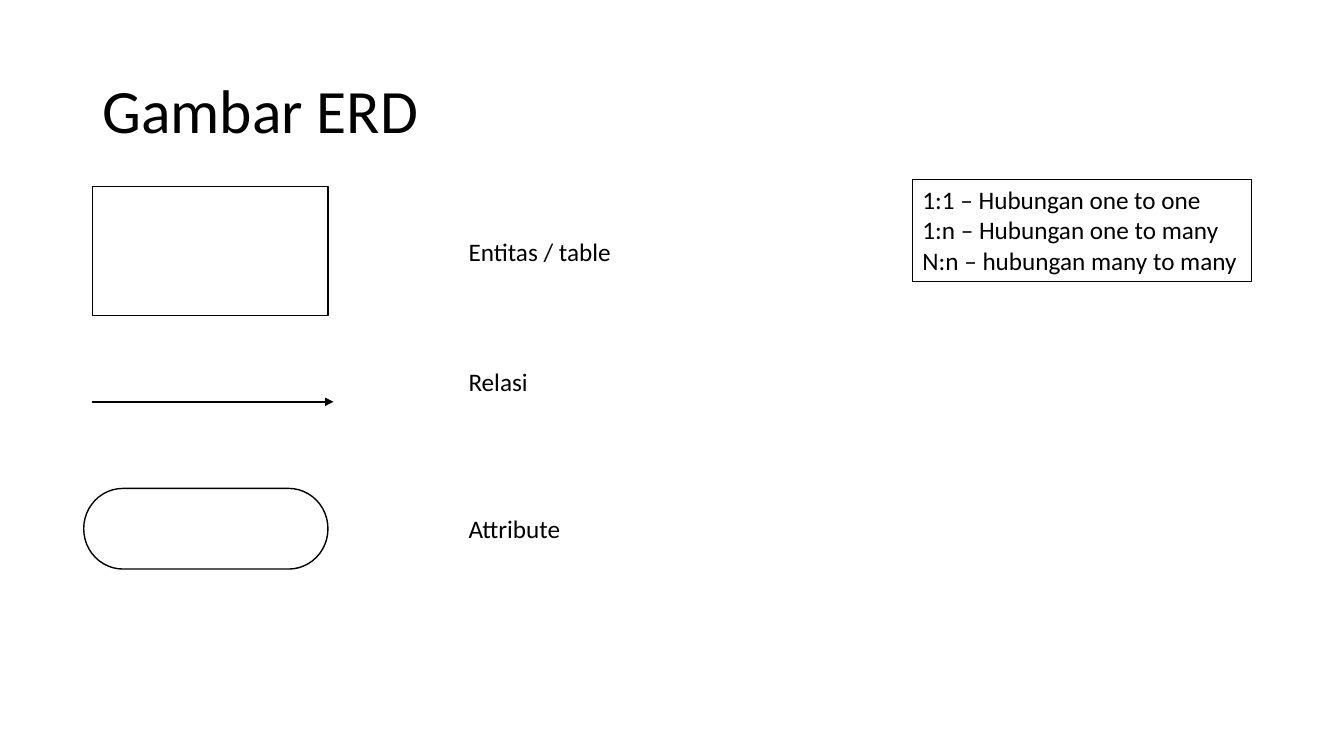
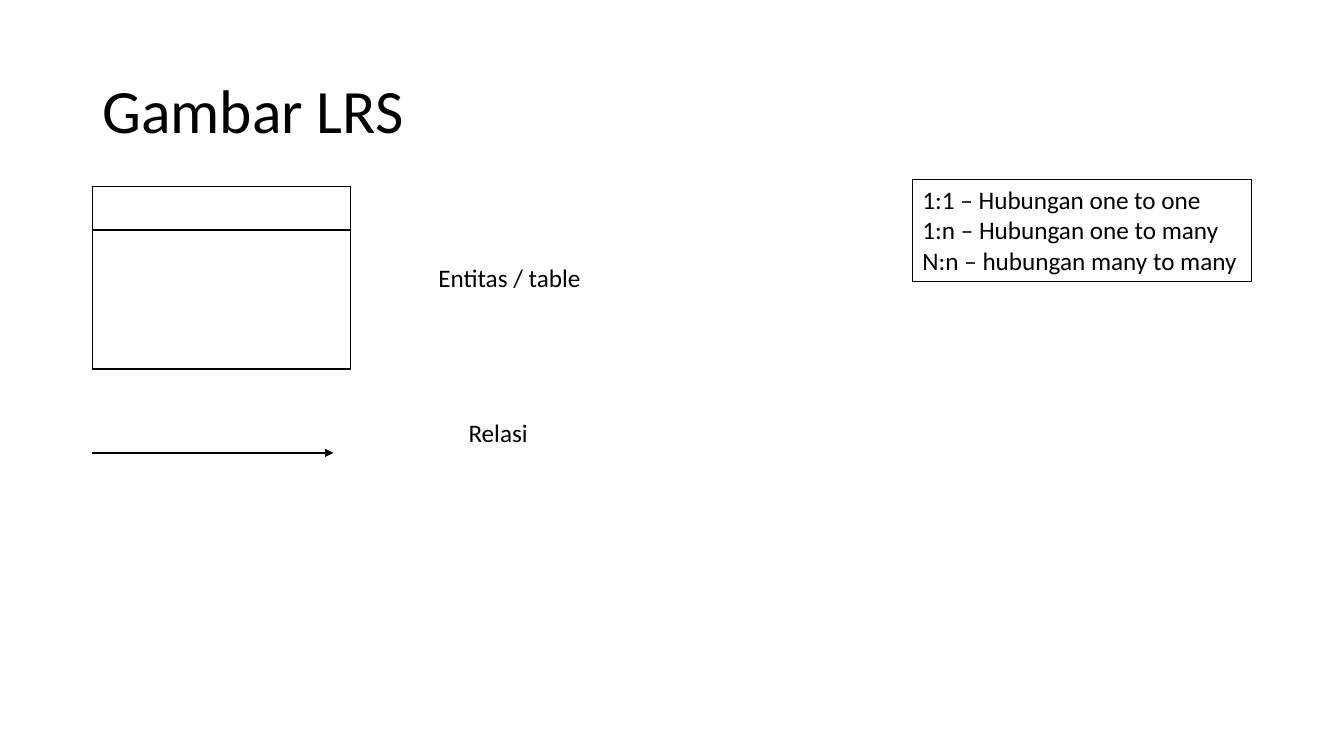
"""Build two slides explaining the symbols of ERD and LRS diagrams."""
from lxml import etree
from pptx import Presentation
from pptx.dml.color import RGBColor
from pptx.enum.shapes import MSO_CONNECTOR, MSO_SHAPE
from pptx.enum.text import MSO_ANCHOR, PP_ALIGN
from pptx.oxml.ns import qn
from pptx.util import Pt

RECTANGLE = MSO_SHAPE.RECTANGLE
TERMINATOR = MSO_SHAPE.FLOWCHART_TERMINATOR
STRAIGHT = MSO_CONNECTOR.STRAIGHT
TOP, MIDDLE = MSO_ANCHOR.TOP, MSO_ANCHOR.MIDDLE
LEFT = PP_ALIGN.LEFT

FONT = "Calibri"
BLACK, WHITE = "000000", "FFFFFF"
MARGIN = 66
LABEL_LEFT = 327.6
LABEL_HEIGHT = 29
ARROW_LENGTH = 172.2
TITLE_BOX = (MARGIN, 28.8, 828, 104.4)
CARDINALITY_BOX = (651.8, 128.2, 242, 72.7)
CARDINALITIES = [
    "1:1 – Hubungan one to one",
    "1:n – Hubungan one to many",
    "N:n – hubungan many to many",
]

SLIDES = [
    {
        "title": "Gambar ERD",
        "symbols": [
            (RECTANGLE, (MARGIN, 133.2, 168.5, 92.2)),
            (TERMINATOR, (59.8, 348.9, 174.5, 57.6)),
        ],
        "arrow_y": 287,
        "labels": [
            ("Entitas / table", LABEL_LEFT, 165, 117.4),
            ("Relasi", LABEL_LEFT, 258.1, 57.6),
            ("Attribute", LABEL_LEFT, 363.2, 81.4),
        ],
    },
    {
        "title": "Gambar LRS",
        "record": ((MARGIN, 133.2, 184.3, 130.3), 31),
        "arrow_y": 323.5,
        "labels": [
            ("Entitas / table", 306, 183.9, 117.4),
            ("Relasi", LABEL_LEFT, 294.6, 57.6),
        ],
    },
]


def color(value):
    return RGBColor.from_string(value)


def write(shape, lines, size=18, anchor=TOP, wrap=False, spacing=None):
    frame = shape.text_frame
    frame.word_wrap = wrap
    frame.vertical_anchor = anchor
    frame.text = "\n".join(lines)
    for paragraph in frame.paragraphs:
        paragraph.alignment = LEFT
        paragraph.line_spacing = spacing
        paragraph.font.name = FONT
        paragraph.font.size = Pt(size)
        paragraph.font.color.rgb = color(BLACK)


def add_text(shapes, box, lines, **style):
    write(shapes.add_textbox(*map(Pt, box)), lines, **style)


def add_outline(shapes, preset, box):
    outline = shapes.add_shape(preset, *map(Pt, box))
    outline.shadow.inherit = False
    outline.fill.solid()
    outline.fill.fore_color.rgb = color(WHITE)
    outline.line.color.rgb = color(BLACK)
    outline.line.width = Pt(1)
    return outline


def add_rule(shapes, left, y, length, arrow=False):
    rule = shapes.add_connector(STRAIGHT, Pt(left), Pt(y), Pt(left + length), Pt(y))
    rule.line.color.rgb = color(BLACK)
    rule.line.width = Pt(1.5)
    if arrow:
        etree.SubElement(rule.line._get_or_add_ln(), qn("a:tailEnd"), type="triangle")
    etree.SubElement(rule._element.spPr, qn("a:effectLst"))


def add_record(shapes, box, header_height):
    record = shapes.add_group_shape().shapes
    left, top, width, _ = box
    add_outline(record, RECTANGLE, box)
    add_rule(record, left, top + header_height, width)


def build_slide(deck, content):
    shapes = deck.slides.add_slide(deck.slide_layouts[6]).shapes
    add_text(shapes, TITLE_BOX, [content["title"]],
             size=44, anchor=MIDDLE, wrap=True, spacing=0.9)
    for preset, box in content.get("symbols", []):
        add_outline(shapes, preset, box)
    if "record" in content:
        add_record(shapes, *content["record"])
    add_rule(shapes, MARGIN, content["arrow_y"], ARROW_LENGTH, arrow=True)
    for label, left, top, width in content["labels"]:
        add_text(shapes, (left, top, width, LABEL_HEIGHT), [label])
    write(add_outline(shapes, RECTANGLE, CARDINALITY_BOX), CARDINALITIES)


def main():
    deck = Presentation()
    deck.slide_width, deck.slide_height = Pt(960), Pt(540)
    for content in SLIDES:
        build_slide(deck, content)
    deck.save("out.pptx")


if __name__ == "__main__":
    main()
